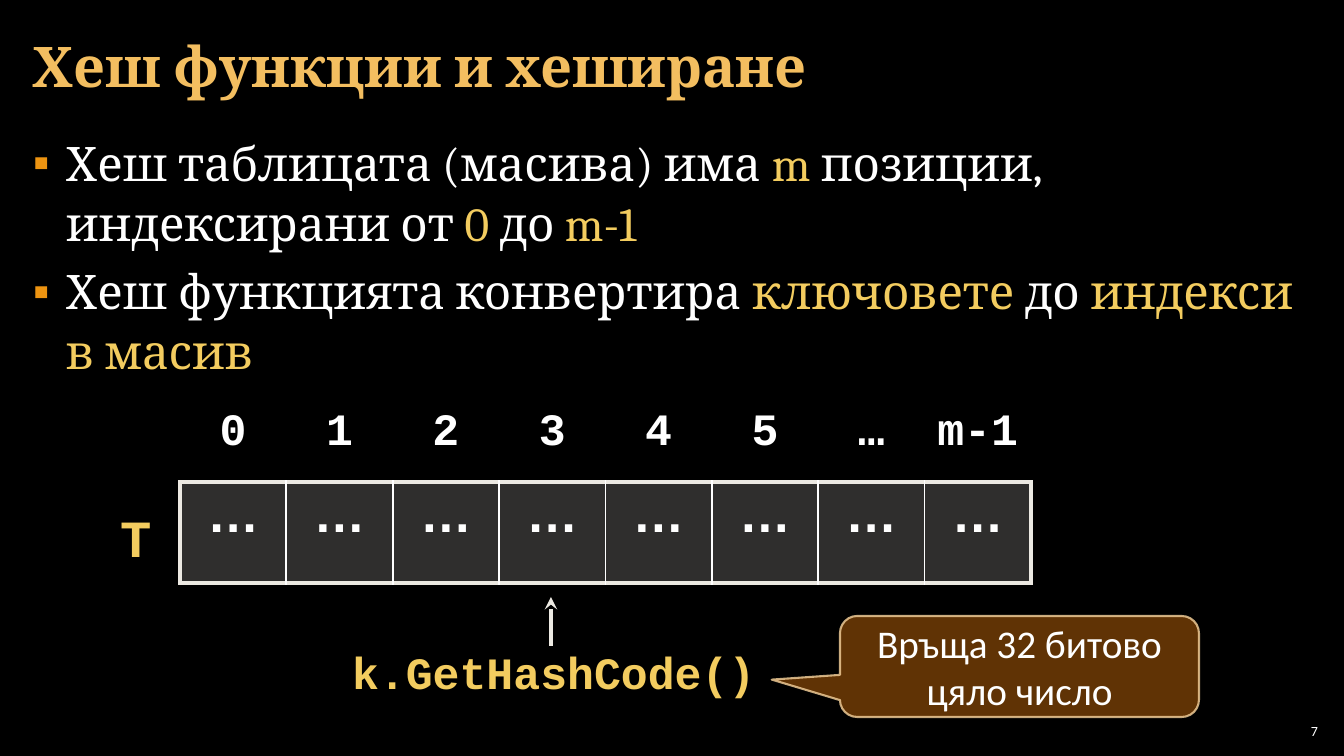
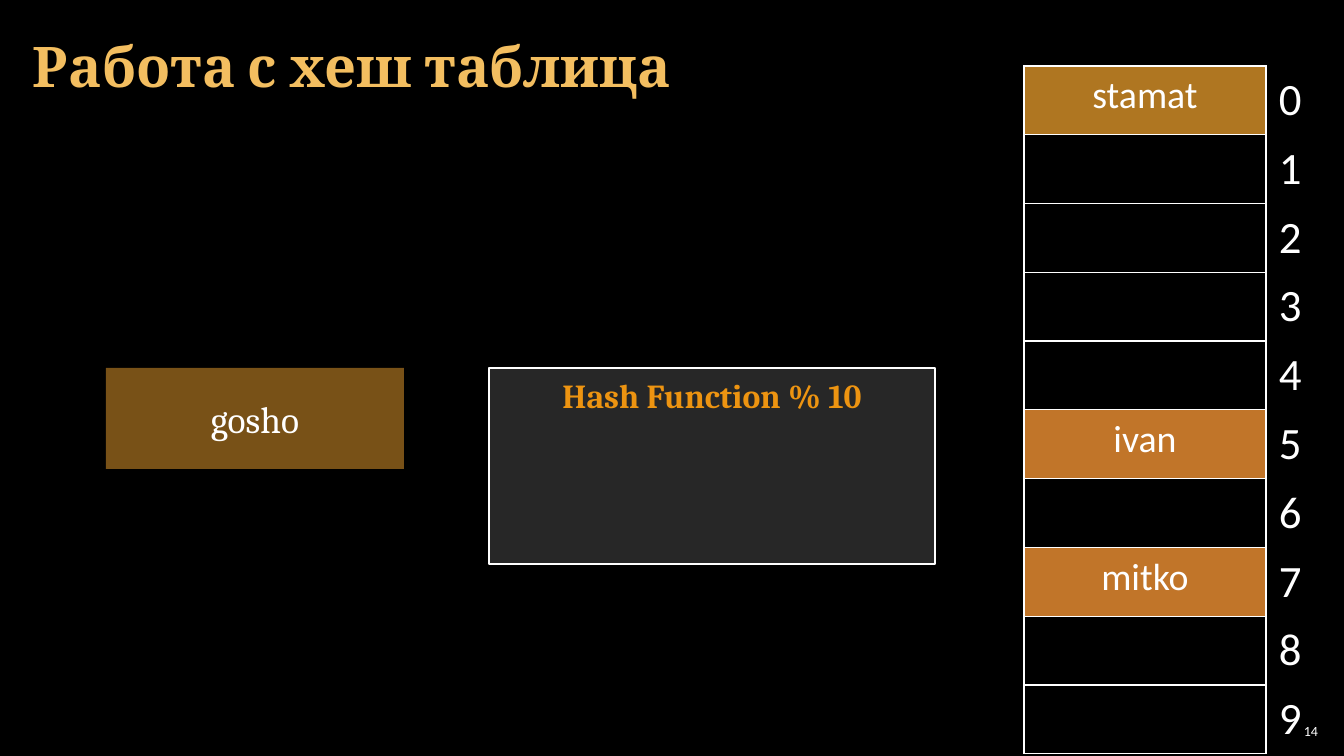
from lxml import etree
from pptx import Presentation, util as u
from pptx.dml.color import RGBColor
from pptx.enum import shapes, text as t
from pptx.oxml.ns import qn

# Shared colours and fonts
BLACK = RGBColor(0x00, 0x00, 0x00)
WHITE = RGBColor(0xFF, 0xFF, 0xFF)
TITLE_GOLD = RGBColor(0xF3, 0xBE, 0x60)
YELLOW = RGBColor(0xF3, 0xCC, 0x5F)
ORANGE = RGBColor(0xED, 0x94, 0x11)
IVORY = RGBColor(0xEC, 0xE9, 0xE2)
BROWN = RGBColor(0x66, 0x36, 0x06)
SAND = RGBColor(0xF8, 0xD4, 0x9E)
AMBER = RGBColor(0xF0, 0xA2, 0x2E)
OCHRE = RGBColor(0xAF, 0x76, 0x21)
COPPER = RGBColor(0xC1, 0x75, 0x29)
CHARCOAL = RGBColor(0x27, 0x27, 0x27)
SERIF, SANS, MONO = "Cambria", "Calibri", "Courier New"
CENTER, LEFT, RIGHT = t.PP_ALIGN.CENTER, t.PP_ALIGN.LEFT, t.PP_ALIGN.RIGHT
MIDDLE, TOP = t.MSO_ANCHOR.MIDDLE, t.MSO_ANCHOR.TOP
PLAIN_TABLE = "{2D5ABB26-0587-4C30-8999-92F81FD0307C}"

# Content
HASHING = {
    "title": "Хеш функции и хеширане",
    "number": "7",
    "bullets": [
        [("Хеш таблицата (масива) има ", WHITE), ("m", YELLOW),
         (" позиции, индексирани от ", WHITE), ("0", YELLOW),
         (" до ", WHITE), ("m-1", YELLOW)],
        [("Хеш функцията конвертира ", WHITE), ("ключовете", YELLOW),
         (" до ", WHITE), ("индекси в масив", YELLOW)],
    ],
    "indexes": ["0", "1", "2", "3", "4", "5", "…", "m-1"],
    "labels": [("T", (107, 498, 56, 77), 37.3),
               ("k.GetHashCode()", (302, 638, 504, 77), 32)],
    "callout": "Връща 32 битово цяло число",
}
USAGE = {
    "title": "Работа с хеш таблица",
    "number": "14",
    "slots": 10,
    "entries": {0: ("stamat", OCHRE), 5: ("ivan", COPPER), 7: ("mitko", COPPER)},
    "key": "gosho",
    "function": "Hash Function % 10",
}

SLIDE_WIDTH, SLIDE_HEIGHT = 1344, 756
SCALE = 12192000 / SLIDE_WIDTH


def px(length):
    return u.Emu(round(length * SCALE))


def box(*lengths):
    return [px(length) for length in lengths]


def set_alpha(parent, percent):
    color = parent.find(qn("a:solidFill"))[0]
    etree.SubElement(color, qn("a:alpha"), val=str(percent * 1000))


def write(target, text, size=18, font=SANS, color=WHITE, bold=False, align=LEFT,
          anchor=TOP, insets=(13, 7), line=1.0, after=0, bullet=None):
    """Fill a shape or table cell; text is a string or a list of run lists."""
    frame = target.text_frame
    holder = target if hasattr(target, "margin_left") else frame
    if holder is frame:
        frame.word_wrap = True
        frame.auto_size = t.MSO_AUTO_SIZE.NONE
    holder.vertical_anchor = anchor
    holder.margin_left = holder.margin_right = px(insets[0])
    holder.margin_top = holder.margin_bottom = px(insets[1])
    paragraphs = [[(text, color)]] if isinstance(text, str) else text
    for number, runs in enumerate(paragraphs):
        paragraph = frame.add_paragraph() if number else frame.paragraphs[0]
        if bullet:
            add_bullet(paragraph, bullet)
        paragraph.alignment = align
        paragraph.line_spacing = line
        paragraph.space_before = u.Pt(0)
        paragraph.space_after = u.Pt(after)
        for words, run_color in runs:
            run = paragraph.add_run()
            run.text = words
            run.font.size, run.font.name, run.font.bold = u.Pt(size), font, bold
            run.font.color.rgb = run_color


def add_bullet(paragraph, mark):
    properties = paragraph._p.get_or_add_pPr()
    properties.set("marL", str(px(33)))
    properties.set("indent", str(-px(33)))
    color = etree.SubElement(properties, qn("a:buClr"))
    etree.SubElement(color, qn("a:srgbClr"), val=str(ORANGE))
    etree.SubElement(properties, qn("a:buFont"), typeface="Arial")
    etree.SubElement(properties, qn("a:buChar"), char=mark)


def add_shape(slide, kind, place, fill, alpha=None, outline=None):
    shape = slide.shapes.add_shape(kind, *box(*place))
    shape.shadow.inherit = False
    shape.fill.solid()
    shape.fill.fore_color.rgb = fill
    if alpha:
        set_alpha(shape._element.spPr, alpha)
    if outline:
        shape.line.color.rgb = outline
        shape.line.width = u.Pt(1.5)
    else:
        shape.line.fill.background()
    return shape


def add_table(slide, left, top, widths, heights):
    shape = slide.shapes.add_table(len(heights), len(widths),
                                   *box(left, top, sum(widths), sum(heights)))
    table = shape.table
    table.first_row = table.horz_banding = False
    table._tbl.tblPr.find(qn("a:tableStyleId")).text = PLAIN_TABLE
    for column, width in zip(table.columns, widths):
        column.width = px(width)
    for row, height in zip(table.rows, heights):
        row.height = px(height)
    return table


def style_cell(cell, fill=None, alpha=None, **borders):
    """Borders are given as L, R, T, B = (colour, points)."""
    properties = cell._tc.get_or_add_tcPr()
    for side in "LRTB":
        if side in borders:
            color, points = borders[side]
            line = etree.SubElement(properties, qn("a:ln" + side), w=str(u.Pt(points)))
            solid = etree.SubElement(line, qn("a:solidFill"))
            etree.SubElement(solid, qn("a:srgbClr"), val=str(color))
    if fill is None:
        cell.fill.background()
    else:
        cell.fill.solid()
        cell.fill.fore_color.rgb = fill
    if alpha:
        set_alpha(properties, alpha)


def place_placeholder(shape, *place):
    shape.left, shape.top, shape.width, shape.height = box(*place)


def start_slide(presentation, layout, content):
    slide = presentation.slides.add_slide(presentation.slide_layouts[layout])
    title = slide.shapes.title
    place_placeholder(title, 21, 4, 1301, 122)
    write(title, content["title"], size=40, font=SERIF, color=TITLE_GOLD, bold=True,
          anchor=MIDDLE, insets=(12, 4))
    number = slide.shapes.add_textbox(*box(1275, 720, 47, 21))
    write(number, content["number"], size=10, align=RIGHT, anchor=MIDDLE, insets=(4, 4))
    return slide


def build_hashing(presentation):
    slide = start_slide(presentation, 1, HASHING)
    body = slide.placeholders[1]
    place_placeholder(body, 21, 127, 1301, 614)
    write(body, HASHING["bullets"], size=34, font=SERIF, insets=(12, 4),
          line=1.05, after=6, bullet="▪")

    # Array with its indexes above
    indexes = HASHING["indexes"]
    count = len(indexes)
    widths = [851 / count] * count
    array = add_table(slide, 180, 482, widths, [101])
    header = add_table(slide, 180, 403, widths, [61])
    frame, divider = (IVORY, 3), (WHITE, 1.5)
    for column, index in enumerate(indexes):
        cell = array.cell(0, column)
        write(cell, "…", size=37, font="Arial", bold=True, align=CENTER,
              insets=(18, 7), line=0.95)
        style_cell(cell, IVORY, 20, T=frame, B=frame,
                   L=divider if column else frame,
                   R=divider if column < count - 1 else frame)
        write(header.cell(0, column), index, size=32, font=MONO, bold=True,
              align=CENTER, insets=(7, 5), line=0.95)
        style_cell(header.cell(0, column))

    # Labels, arrow and callout
    for words, place, size in HASHING["labels"]:
        label = slide.shapes.add_textbox(*box(*place))
        write(label, words, size=size, font=MONO, color=YELLOW, bold=True, align=CENTER)
    arrow = slide.shapes.add_connector(shapes.MSO_CONNECTOR.STRAIGHT,
                                       *box(551, 646, 551, 597))
    arrow.line.color.rgb = IVORY
    arrow.line.width = u.Pt(3)
    etree.SubElement(arrow.line._get_or_add_ln(), qn("a:tailEnd"), type="stealth")
    etree.SubElement(arrow._element.spPr, qn("a:effectLst"))
    callout = add_shape(slide, shapes.MSO_SHAPE.ROUNDED_RECTANGULAR_CALLOUT,
                        (840, 616, 359, 101), BROWN, 95, SAND)
    set_alpha(callout._element.spPr.find(qn("a:ln")), 80)
    for position, value in enumerate((-0.69, 0.13, 0.17)):
        callout.adjustments[position] = value
    write(callout, HASHING["callout"], size=28, align=CENTER, anchor=MIDDLE)


def build_usage(presentation):
    slide = start_slide(presentation, 5, USAGE)

    # Slots of the hash table
    slots = add_table(slide, 1024, 66, [242, 56], [67] * USAGE["slots"])
    edge = (WHITE, 1)
    for row in range(USAGE["slots"]):
        name, fill = USAGE["entries"].get(row, (None, None))
        slot, index = slots.cell(row, 0), slots.cell(row, 1)
        if name:
            write(slot, name, size=27, align=CENTER)
        style_cell(slot, fill, L=edge, R=edge, T=edge, B=edge)
        write(index, str(row), size=32)
        style_cell(index, L=edge)

    # Key and hash function
    key = add_shape(slide, shapes.MSO_SHAPE.FLOWCHART_PROCESS,
                    (106, 368, 298, 101), AMBER, 50)
    write(key, USAGE["key"], size=26.7, font=SERIF, align=CENTER, anchor=MIDDLE)
    function = add_shape(slide, shapes.MSO_SHAPE.RECTANGLE,
                         (489, 368, 446, 196), CHARCOAL, outline=WHITE)
    write(function, USAGE["function"], size=24, font=SERIF, color=ORANGE, bold=True,
          align=CENTER)


def main():
    presentation = Presentation()
    presentation.slide_width, presentation.slide_height = box(SLIDE_WIDTH, SLIDE_HEIGHT)
    background = presentation.slide_master.background.fill
    background.solid()
    background.fore_color.rgb = BLACK
    build_hashing(presentation)
    build_usage(presentation)
    presentation.save("out.pptx")


if __name__ == "__main__":
    main()
